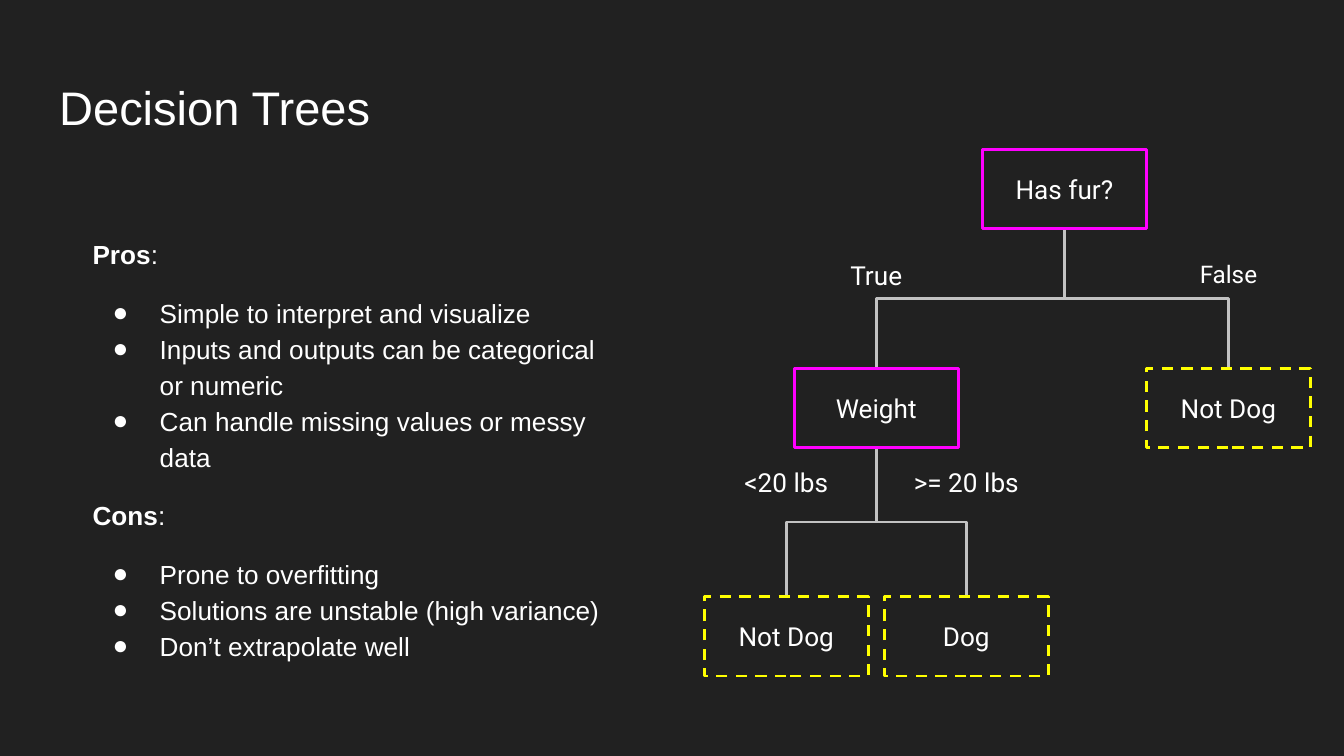
from lxml.etree import SubElement
from pptx import Presentation
from pptx.dml.color import RGBColor
from pptx.enum.dml import MSO_LINE
from pptx.enum.shapes import MSO_CONNECTOR, MSO_SHAPE
from pptx.enum.text import MSO_ANCHOR, MSO_AUTO_SIZE, PP_ALIGN
from pptx.oxml.ns import qn
from pptx.util import Inches, Pt

CHARCOAL = RGBColor(0x21, 0x21, 0x21)
WHITE = RGBColor(0xFF, 0xFF, 0xFF)
SILVER = RGBColor(0xC2, 0xC2, 0xC2)
MAGENTA = RGBColor(0xFF, 0x00, 0xFF)
YELLOW = RGBColor(0xFF, 0xFF, 0x00)

COLUMNS = 100
NODE_WIDTH, NODE_HEIGHT = 12.2, 5.9
LABEL_WIDTH = 10.2
TITLE_ONLY = 5

ARGUMENTS = {
    "Pros": [
        "Simple to interpret and visualize",
        "Inputs and outputs can be categorical or numeric",
        "Can handle missing values or messy data",
    ],
    "Cons": [
        "Prone to overfitting",
        "Solutions are unstable (high variance)",
        "Don’t extrapolate well",
    ],
}


class TreeSlide:
    text_font = "Arial"
    tree_font = "Roboto"
    text_size = 14
    line_width = Pt(1.5)

    def __init__(self, deck):
        self.unit = deck.slide_width / COLUMNS
        self.page = deck.slides.add_slide(deck.slide_layouts[TITLE_ONLY])
        self.page.background.fill.solid()
        self.page.background.fill.fore_color.rgb = CHARCOAL

    def grid(self, *cells):
        return [round(cell * self.unit) for cell in cells]

    def frame(self, shape, anchor=MSO_ANCHOR.TOP, fit=MSO_AUTO_SIZE.NONE):
        frame = shape.text_frame
        frame.word_wrap = True
        frame.auto_size = fit
        frame.vertical_anchor = anchor
        frame.margin_left = frame.margin_right = Inches(0.1)
        frame.margin_top = frame.margin_bottom = Inches(0.1)
        return frame

    def style(self, para, name, size, align=PP_ALIGN.LEFT):
        para.alignment = align
        para.font.name = name
        para.font.size = Pt(size)
        para.font.color.rgb = WHITE

    def title(self, text, column, row, width, height):
        box = self.page.shapes.title
        box.left, box.top, box.width, box.height = self.grid(column, row, width, height)
        para = self.frame(box).paragraphs[0]
        para.text = text
        self.style(para, self.text_font, 25.2)

    def bullet(self, para):
        properties = para._p.get_or_add_pPr()
        properties.set("marL", str(Inches(0.5)))
        properties.set("indent", str(Inches(-0.35)))
        colour = SubElement(properties, qn("a:buClr"))
        SubElement(colour, qn("a:srgbClr"), val=str(WHITE))
        SubElement(properties, qn("a:buSzPts"), val=str(self.text_size * 100))
        SubElement(properties, qn("a:buFont"), typeface=self.text_font)
        SubElement(properties, qn("a:buChar"), char="●")

    def arguments(self, groups, column, row, width, height):
        box = self.page.shapes.add_textbox(*self.grid(column, row, width, height))
        frame = self.frame(box, fit=MSO_AUTO_SIZE.SHAPE_TO_FIT_TEXT)
        for number, (heading, points) in enumerate(groups.items()):
            para = frame.add_paragraph() if number else frame.paragraphs[0]
            para.space_before = Pt(12 if number else 0)
            para.line_spacing = 1.15
            self.style(para, self.text_font, self.text_size)
            span = para.add_run()
            span.text = heading
            span.font.bold = True
            para.add_run().text = ":"
            for position, point in enumerate(points):
                para = frame.add_paragraph()
                para.text = point
                para.space_before = Pt(0 if position else 12)
                para.line_spacing = 1.15
                self.style(para, self.text_font, self.text_size)
                self.bullet(para)

    def node(self, text, centre, row, leaf=False):
        box = self.page.shapes.add_shape(
            MSO_SHAPE.RECTANGLE,
            *self.grid(centre - NODE_WIDTH / 2, row, NODE_WIDTH, NODE_HEIGHT),
        )
        box.shadow.inherit = False
        box.fill.background()
        box.line.color.rgb = YELLOW if leaf else MAGENTA
        box.line.width = self.line_width
        if leaf:
            box.line.dash_style = MSO_LINE.DASH
        para = self.frame(box, MSO_ANCHOR.MIDDLE).paragraphs[0]
        para.text = text
        self.style(para, self.tree_font, self.text_size, PP_ALIGN.CENTER)
        return box

    def label(self, text, centre, row, height=4.4, size=14):
        box = self.page.shapes.add_textbox(
            *self.grid(centre - LABEL_WIDTH / 2, row, LABEL_WIDTH, height)
        )
        para = self.frame(box, fit=MSO_AUTO_SIZE.SHAPE_TO_FIT_TEXT).paragraphs[0]
        para.text = text
        self.style(para, self.tree_font, size, PP_ALIGN.CENTER)

    def branch(self, parent, child):
        start_x, end_x = (box.left + box.width // 2 for box in (parent, child))
        start_y, end_y = parent.top + parent.height, child.top
        drop, reach = end_y - start_y, abs(end_x - start_x)
        line = self.page.shapes.add_connector(
            MSO_CONNECTOR.ELBOW, start_x, start_y, end_x, end_y
        )
        line.begin_connect(parent, 2)
        line.end_connect(child, 0)
        line.left = (start_x + end_x - drop) // 2
        line.top = (start_y + end_y - reach) // 2
        line.width, line.height = drop, reach
        goes_right = end_x > start_x
        transform = line._element.spPr.xfrm
        transform.set("rot", "16200000" if goes_right else "5400000")
        transform.set("flipH", "1" if goes_right else "0")
        transform.set("flipV", "0")
        line.line.color.rgb = SILVER
        line.line.width = self.line_width
        SubElement(line._element.spPr, qn("a:effectLst"))
        self.page.shapes.title._element.addnext(line._element)


def main():
    deck = Presentation()
    deck.slide_width, deck.slide_height = Inches(10), Inches(10 * 9 / 16)
    slide = TreeSlide(deck)
    slide.title("Decision Trees", 3.4, 4.87, 93.2, 6.3)
    slide.arguments(ARGUMENTS, 5.9, 16.4, 41.5, 34.2)

    fur = slide.node("Has fur?", 79.2, 11.1)
    weight = slide.node("Weight", 65.2, 27.4)
    hairless = slide.node("Not Dog", 91.4, 27.4, leaf=True)
    dog = slide.node("Dog", 71.9, 44.4, leaf=True)
    small = slide.node("Not Dog", 58.5, 44.4, leaf=True)
    for parent, child in ((fur, hairless), (fur, weight), (weight, dog), (weight, small)):
        slide.branch(parent, child)

    slide.label("<20 lbs", 58.5, 33.7)
    slide.label(">= 20 lbs", 71.9, 33.7)
    slide.label("True", 65.2, 18.3)
    slide.label("False", 91.4, 18.3, height=4.2, size=13)
    deck.save("out.pptx")


if __name__ == "__main__":
    main()
